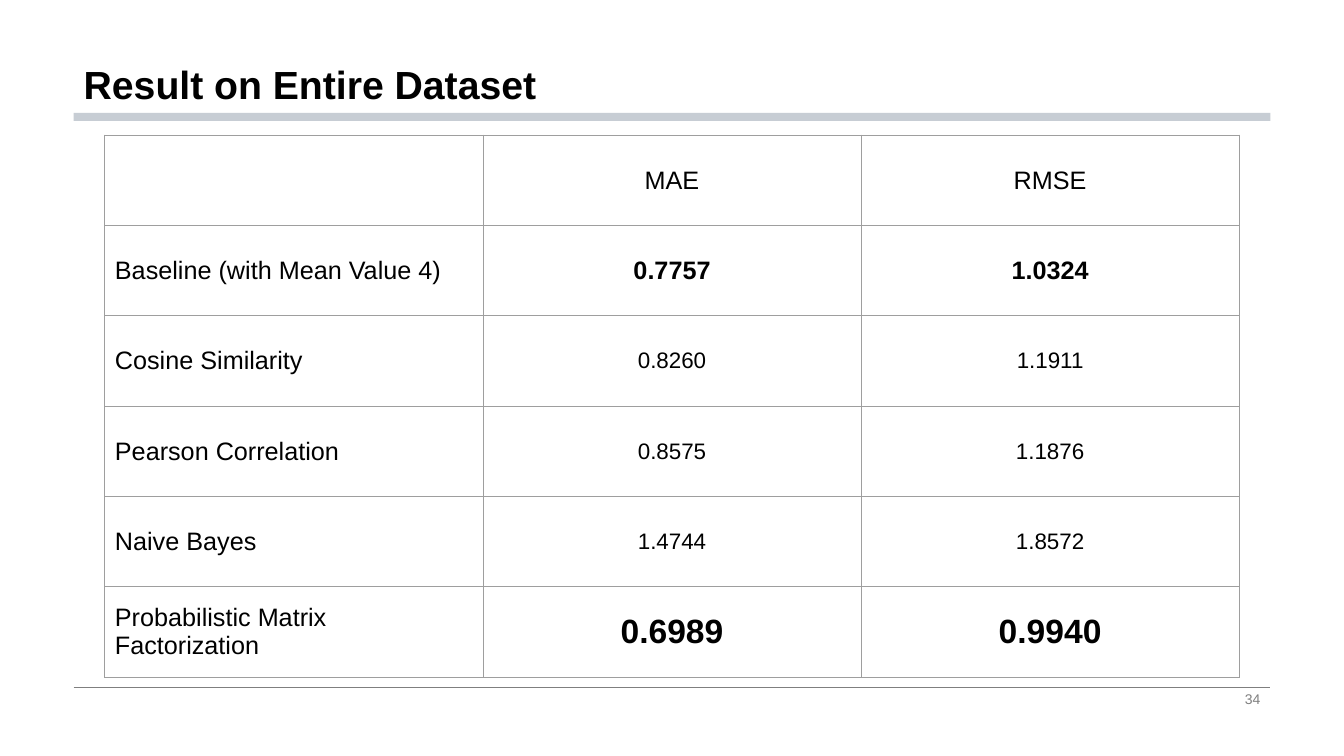
from lxml import etree
from pptx import Presentation
from pptx.dml.color import RGBColor
from pptx.enum.shapes import MSO_CONNECTOR, MSO_SHAPE
from pptx.enum.text import MSO_ANCHOR, PP_ALIGN
from pptx.oxml.ns import qn
from pptx.util import Inches, Pt

MIDDLE, BOTTOM = MSO_ANCHOR.MIDDLE, MSO_ANCHOR.BOTTOM
LEFT, CENTER, RIGHT = PP_ALIGN.LEFT, PP_ALIGN.CENTER, PP_ALIGN.RIGHT
COLORS = {"text": "000000", "gray": "7F7F7F", "bar": "C7CDD4", "border": "9E9E9E"}
MARGIN, CONTENT_WIDTH, FOOTER_TOP = 0.73, 11.87, 6.82

# Each row: label, MAE, RMSE, value size, values in bold
RESULTS = [
    ("", "MAE", "RMSE", 18, False),
    ("Baseline (with Mean Value 4)", "0.7757", "1.0324", 18, True),
    ("Cosine Similarity", "0.8260", "1.1911", 16, False),
    ("Pearson Correlation", "0.8575", "1.1876", 16, False),
    ("Naive Bayes", "1.4744", "1.8572", 16, False),
    ("Probabilistic Matrix Factorization", "0.6989", "0.9940", 24, True),
]


def write_text(text_frame, text, size, color="text", bold=False, align=LEFT):
    paragraph = text_frame.paragraphs[0]
    paragraph.text = text
    paragraph.alignment = align
    font = paragraph.font
    font.name, font.size, font.bold = "Arial", Pt(size), bold
    font.color.rgb = RGBColor.from_string(COLORS[color])
    return paragraph


def add_borders(cell):
    properties = cell._tc.get_or_add_tcPr()
    for position, side in enumerate(("a:lnL", "a:lnR", "a:lnT", "a:lnB")):
        line = etree.Element(qn(side), w=str(Pt(0.75)))
        fill = etree.SubElement(line, qn("a:solidFill"))
        etree.SubElement(fill, qn("a:srgbClr"), val=COLORS["border"])
        properties.insert(position, line)


presentation = Presentation()
presentation.slide_width = Inches(13.33)
presentation.slide_height = Inches(7.5)
slide = presentation.slides.add_slide(presentation.slide_layouts[5])

# Footer line and bar under the title
footer_line = slide.shapes.add_connector(
    MSO_CONNECTOR.STRAIGHT, Inches(MARGIN), Inches(FOOTER_TOP),
    Inches(MARGIN + CONTENT_WIDTH), Inches(FOOTER_TOP))
footer_line.line.color.rgb = RGBColor.from_string(COLORS["gray"])
footer_line.line.width = Pt(0.75)
etree.SubElement(footer_line._element.spPr, qn("a:effectLst"))

title_bar = slide.shapes.add_shape(
    MSO_SHAPE.RECTANGLE, Inches(MARGIN), Inches(1.12), Inches(CONTENT_WIDTH), Inches(0.08))
title_bar.shadow.inherit = False
title_bar.fill.solid()
title_bar.fill.fore_color.rgb = RGBColor.from_string(COLORS["bar"])
title_bar.line.fill.background()

# Title
title = slide.shapes.title
title.left, title.top = Inches(MARGIN), Inches(0)
title.width, title.height = Inches(CONTENT_WIDTH), Inches(1.12)
title.text_frame.vertical_anchor = BOTTOM
title_paragraph = write_text(title.text_frame, "Result on Entire Dataset", 28, bold=True)
title_paragraph.line_spacing = 0.9

# Slide number
number_box = slide.shapes.add_textbox(
    Inches(9.42), Inches(FOOTER_TOP), Inches(3.18), Inches(0.23))
number_box.text_frame.word_wrap = True
number_box.text_frame.vertical_anchor = MIDDLE
write_text(number_box.text_frame, "34", 10, "gray", align=RIGHT)

# Results table
table = slide.shapes.add_table(
    len(RESULTS), 3, Inches(1.04), Inches(1.34), Inches(11.25), Inches(5.38)).table
table.first_row = table.horz_banding = False
for row, (label, mae, rmse, value_size, value_bold) in enumerate(RESULTS):
    for column, text in enumerate((label, mae, rmse)):
        cell = table.cell(row, column)
        cell.fill.background()
        cell.vertical_anchor = MIDDLE
        cell.margin_left = cell.margin_right = Inches(0.1)
        cell.margin_top = cell.margin_bottom = Inches(0.1)
        add_borders(cell)
        if column == 0:
            write_text(cell.text_frame, text, 18)
        else:
            write_text(cell.text_frame, text, value_size, bold=value_bold, align=CENTER)

presentation.save("out.pptx")
